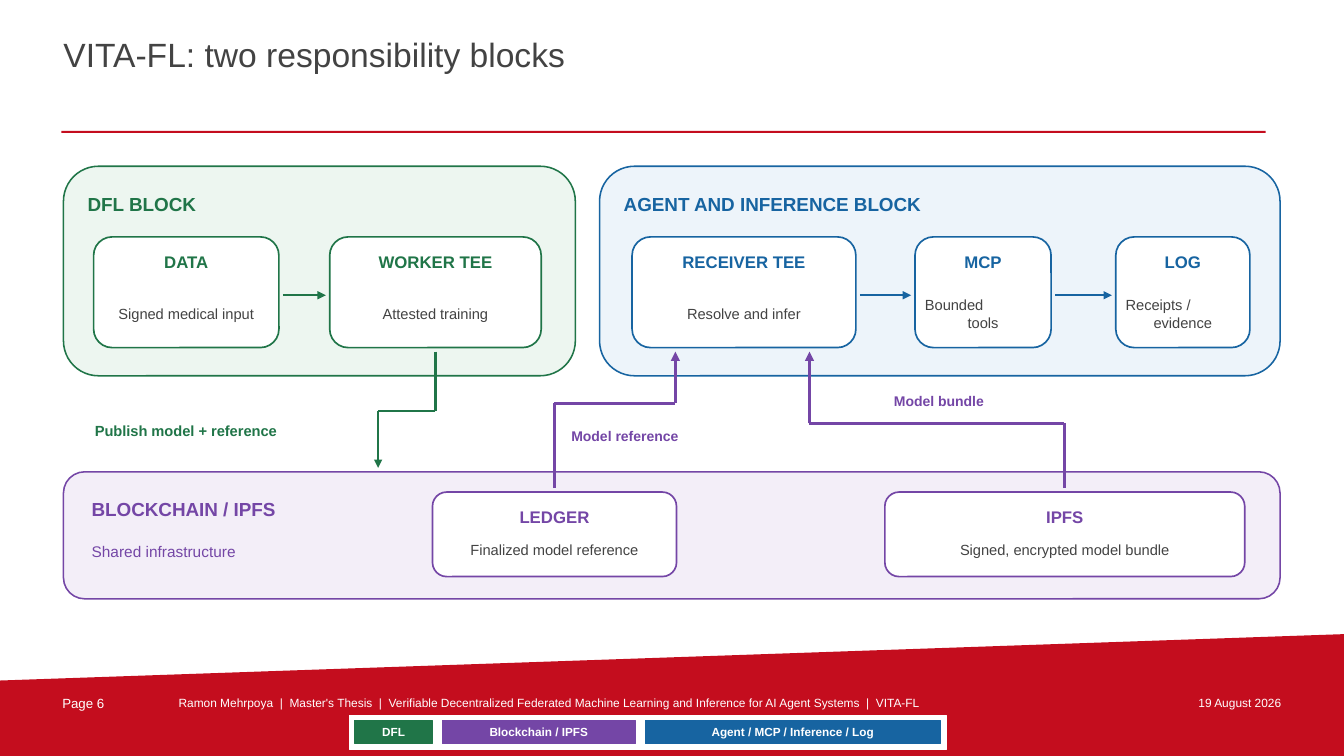
from lxml.etree import SubElement
from pptx import Presentation
from pptx.dml.color import RGBColor
from pptx.enum.shapes import MSO_CONNECTOR as Connector, MSO_SHAPE as Shape
from pptx.enum.text import MSO_ANCHOR as Anchor, PP_ALIGN as Align
from pptx.oxml.ns import qn
from pptx.util import Cm, Pt

RED = RGBColor(0xC4, 0x0D, 0x1E)
INK = RGBColor(0x43, 0x43, 0x43)
WHITE = RGBColor(0xFF, 0xFF, 0xFF)
GREEN = RGBColor(0x20, 0x75, 0x48)
BLUE = RGBColor(0x17, 0x64, 0xA1)
PURPLE = RGBColor(0x74, 0x46, 0xA6)
PALE_GREEN = RGBColor(0xED, 0xF6, 0xF0)
PALE_BLUE = RGBColor(0xED, 0xF4, 0xFA)
PALE_PURPLE = RGBColor(0xF3, 0xEE, 0xF8)

FONT = "Arial"
SLIDE_WIDTH, SLIDE_HEIGHT = 33.87, 19.05
UPPER_TOP, UPPER_HEIGHT = 5.97, 2.79
LOWER_TOP, LOWER_HEIGHT = 12.4, 2.13
CARD_PADDING = 0.25
ARROW_GAP = 0.1
FLOW_Y = 7.44


def write(frame, text, size, color, bold=False, align=Align.LEFT,
          anchor=Anchor.MIDDLE, inset=0):
    frame.text = text
    frame.word_wrap = True
    frame.vertical_anchor = anchor
    frame.margin_left = frame.margin_right = Cm(inset)
    frame.margin_top = frame.margin_bottom = Cm(inset)
    for paragraph in frame.paragraphs:
        paragraph.alignment = align
        for run in paragraph.runs:
            run.font.name = FONT
            run.font.size = Pt(size)
            run.font.bold = bold
            run.font.color.rgb = color


def add_label(slide, box, text, size, color, **style):
    label = slide.shapes.add_textbox(*map(Cm, box))
    write(label.text_frame, text, size, color, **style)
    return label


def paint(shape, fill, line=None, width=0):
    shape.shadow.inherit = False
    shape.fill.solid()
    shape.fill.fore_color.rgb = fill
    if line is None:
        shape.line.fill.background()
    else:
        shape.line.color.rgb = line
        shape.line.width = Pt(width)


def add_panel(slide, kind, box, fill, line=None, width=0):
    panel = slide.shapes.add_shape(kind, *map(Cm, box))
    paint(panel, fill, line, width)
    return panel


def add_card(slide, left, top, width, height, name, detail, color,
             detail_offset, detail_height):
    add_panel(slide, Shape.ROUNDED_RECTANGLE, (left, top, width, height),
              WHITE, color, 1.2)
    inner_left, inner_width = left + CARD_PADDING, width - 2 * CARD_PADDING
    add_label(slide, (inner_left, top + CARD_PADDING, inner_width, 0.76),
              name, 12, color, bold=True, align=Align.CENTER)
    note = add_label(
        slide, (inner_left, top + detail_offset, inner_width, detail_height),
        detail, 10.5, INK, align=Align.CENTER)
    for paragraph in note.text_frame.paragraphs[:-1]:
        paragraph.alignment = Align.LEFT


def add_route(slide, points, color, width):
    for start, end in zip(points, points[1:]):
        segment = slide.shapes.add_connector(
            Connector.STRAIGHT, *map(Cm, start + end))
        segment.line.color.rgb = color
        segment.line.width = Pt(width)
        if end == points[-1]:
            SubElement(segment.line._get_or_add_ln(), qn("a:tailEnd"),
                       type="triangle")
        SubElement(segment._element.spPr, qn("a:effectLst"))


def add_footer_band(slide):
    outline = slide.shapes.build_freeform(0, Cm(17.15))
    corners = [(SLIDE_WIDTH, 15.98), (SLIDE_WIDTH, SLIDE_HEIGHT),
               (0, SLIDE_HEIGHT)]
    outline.add_line_segments([(Cm(x), Cm(y)) for x, y in corners], close=True)
    paint(outline.convert_to_shape(), RED)


def add_footer_text(slide):
    about = ("Ramon Mehrpoya  |  Master's Thesis  |  Verifiable Decentralized "
             "Federated Machine Learning and Inference for AI Agent Systems  |  "
             "VITA-FL")
    for left, width, text, size, align in [
        (1.52, 2.54, "Page 6", 9.5, Align.LEFT),
        (4.45, 23.75, about, 8.5, Align.LEFT),
        (28.45, 3.89, "19 August 2026", 8.5, Align.RIGHT),
    ]:
        add_label(slide, (left, 17.48, width, 0.56), text, size, WHITE,
                  align=align, anchor=Anchor.TOP, inset=0.05)


def add_legend(slide):
    add_panel(slide, Shape.RECTANGLE, (8.81, 18.03, 15.04, 0.86),
              WHITE, WHITE, 0.5)
    left, gap = 8.94, 0.24
    for name, width, color in [
        ("DFL", 1.96, GREEN),
        ("Blockchain / IPFS", 4.88, PURPLE),
        ("Agent / MCP / Inference / Log", 7.44, BLUE),
    ]:
        chip = add_panel(slide, Shape.RECTANGLE, (left, 18.16, width, 0.58),
                         color, color, 0.55)
        write(chip.text_frame, name, 8.4, WHITE, bold=True, align=Align.CENTER)
        left += width + gap


def add_blocks(slide):
    for box, fill, color, heading, heading_box in [
        ((1.6, 4.19, 12.9, 5.28), PALE_GREEN, GREEN,
         "DFL BLOCK", (2.21, 4.75, 11.43, 0.76)),
        ((15.11, 4.19, 17.15, 5.28), PALE_BLUE, BLUE,
         "AGENT AND INFERENCE BLOCK", (15.72, 4.75, 15.62, 0.76)),
        ((1.6, 11.89, 30.66, 3.2), PALE_PURPLE, PURPLE,
         "BLOCKCHAIN / IPFS", (2.31, 12.45, 7.62, 0.76)),
    ]:
        add_panel(slide, Shape.ROUNDED_RECTANGLE, box, fill, color, 1.1)
        add_label(slide, heading_box, heading, 13.5, color, bold=True)
    add_label(slide, (2.31, 13.59, 7.62, 0.61), "Shared infrastructure",
              11, PURPLE)


def add_flow(slide, cards, color):
    for left, width, name, detail in cards:
        add_card(slide, left, UPPER_TOP, width, UPPER_HEIGHT, name, detail,
                 color, 1.3, 1.27)
    for (left, width, *_), (next_left, *_) in zip(cards, cards[1:]):
        add_route(slide, [(left + width + ARROW_GAP, FLOW_Y),
                          (next_left - ARROW_GAP, FLOW_Y)], color, 1.5)


def add_storage(slide):
    for left, width, name, detail in [
        (10.9, 6.15, "LEDGER", "Finalized model reference"),
        (22.3, 9.07, "IPFS", "Signed, encrypted model bundle"),
    ]:
        add_card(slide, left, LOWER_TOP, width, LOWER_HEIGHT, name, detail,
                 PURPLE, 1.09, 0.74)


def add_exchanges(slide):
    below_cards = UPPER_TOP + UPPER_HEIGHT + ARROW_GAP
    above_storage = LOWER_TOP - ARROW_GAP
    for start_x, start_y, bend_y, end_x, end_y, color, width in [
        (10.97, below_cards, 10.36, 9.53, 11.79, GREEN, 1.8),
        (13.97, above_storage, 10.16, 17.02, below_cards, PURPLE, 2.2),
        (26.82, above_storage, 10.67, 20.4, below_cards, PURPLE, 2.2),
    ]:
        add_route(slide, [(start_x, start_y), (start_x, bend_y),
                          (end_x, bend_y), (end_x, end_y)], color, width)
    for box, text, size, color in [
        ((2.39, 10.46, 6.35, 0.76), "Publish model + reference", 10.5, GREEN),
        ((14.4, 10.69, 4.83, 0.61), "Model reference", 10, PURPLE),
        ((22.53, 9.8, 4.06, 0.61), "Model bundle", 10, PURPLE),
    ]:
        add_label(slide, box, text, size, color, bold=True)


def main():
    deck = Presentation()
    deck.slide_width, deck.slide_height = Cm(SLIDE_WIDTH), Cm(SLIDE_HEIGHT)
    slide = deck.slides.add_slide(deck.slide_layouts[6])

    add_footer_band(slide)
    add_label(slide, (1.55, 0.81, 24.51, 1.57),
              "VITA-FL: two responsibility blocks", 24, INK,
              anchor=Anchor.TOP, inset=0.05)
    add_panel(slide, Shape.RECTANGLE, (1.55, 3.3, 30.35, 0.05), RED)
    add_footer_text(slide)
    add_legend(slide)
    add_blocks(slide)
    add_flow(slide, [
        (2.36, 4.67, "DATA", "Signed medical input"),
        (8.31, 5.33, "WORKER TEE", "Attested training"),
    ], GREEN)
    add_flow(slide, [
        (15.93, 5.64, "RECEIVER TEE", "Resolve and infer"),
        (23.06, 3.43, "MCP", "Bounded\ntools"),
        (28.12, 3.38, "LOG", "Receipts /\nevidence"),
    ], BLUE)
    add_storage(slide)
    add_exchanges(slide)

    deck.save("out.pptx")


if __name__ == "__main__":
    main()
